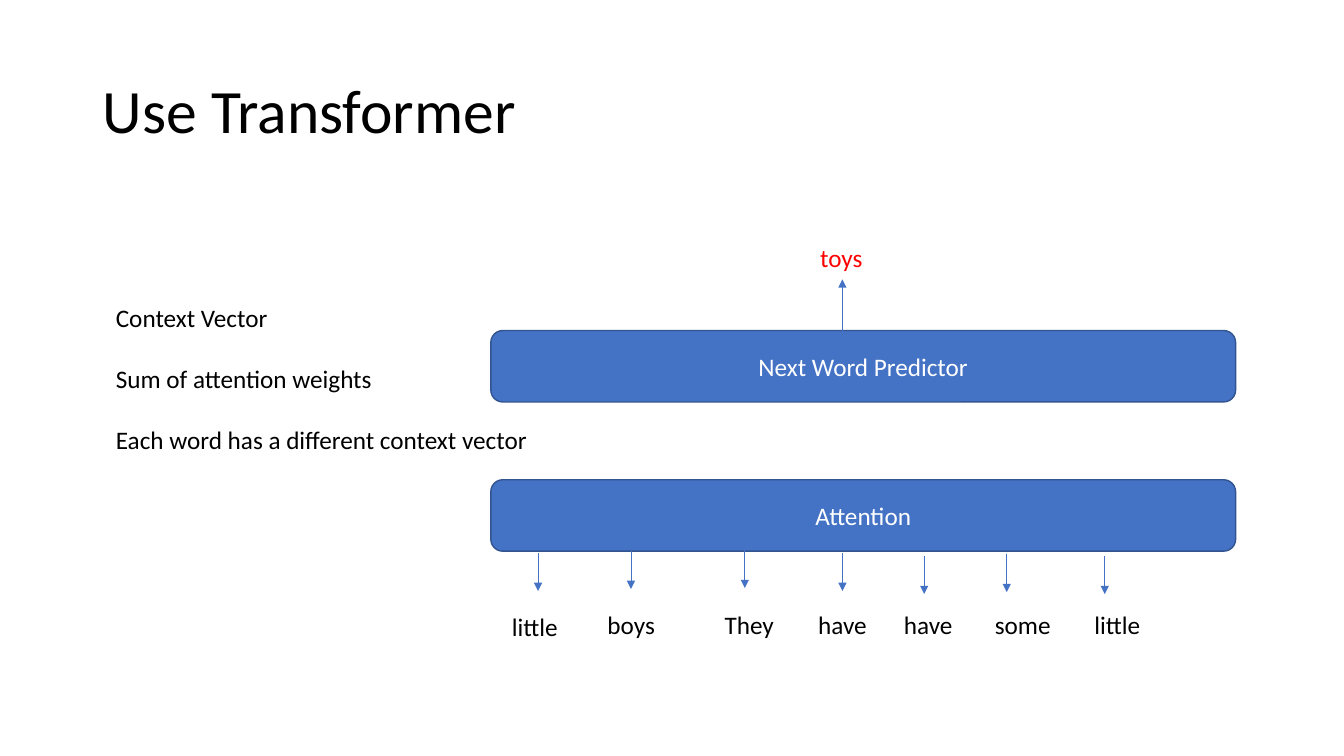
from dataclasses import dataclass

from lxml.etree import SubElement
from pptx import Presentation
from pptx.dml.color import RGBColor as Rgb
from pptx.enum.shapes import MSO_CONNECTOR as Conn, MSO_SHAPE as Form
from pptx.enum.text import MSO_ANCHOR as Anchor, MSO_AUTO_SIZE as Auto, PP_ALIGN as Align
from pptx.oxml.ns import qn
from pptx.util import Cm, Pt


@dataclass(frozen=True)
class Theme:
    face: str = "Calibri"
    ink: str = "000000"
    pale: str = "FFFFFF"
    red: str = "FF0000"
    blue: str = "4472C4"
    edge: str = "325491"
    head: int = 44
    body: int = 18


class Board:
    """Draw styled elements on the current slide."""

    def __init__(self, deck, theme):
        self.theme = theme
        self.slide = deck.slides.add_slide(deck.slide_layouts[5])
        self.shapes = self.slide.shapes

    def fill_text(self, frame, lines, size, color, **form):
        frame.text = "\n".join(lines)
        font = {"name": self.theme.face, "size": Pt(size)}
        for para in frame.paragraphs:
            for key, value in form.items():
                setattr(para, key, value)
            for key, value in font.items():
                setattr(para.font, key, value)
            para.font.color.rgb = Rgb.from_string(color)

    def title(self, text, *spot):
        shape = self.shapes.title
        for key, value in zip(("left", "top", "width", "height"), spot):
            setattr(shape, key, Cm(value))
        frame = shape.text_frame
        for key, value in {"auto_size": Auto.NONE, "vertical_anchor": Anchor.MIDDLE}.items():
            setattr(frame, key, value)
        self.fill_text(frame, [text], self.theme.head, self.theme.ink,
                       alignment=Align.LEFT, line_spacing=0.9)

    def block(self, text, *spot):
        shape = self.shapes.add_shape(Form.ROUNDED_RECTANGLE, *map(Cm, spot))
        shape.shadow.inherit = False
        shape.fill.solid()
        shape.fill.fore_color.rgb = Rgb.from_string(self.theme.blue)
        shape.line.color.rgb = Rgb.from_string(self.theme.edge)
        shape.line.width = Pt(1)
        shape.text_frame.vertical_anchor = Anchor.MIDDLE
        self.fill_text(shape.text_frame, [text], self.theme.body, self.theme.pale,
                       alignment=Align.CENTER)

    def label(self, lines, *spot, color=None, gap=0):
        frame = self.shapes.add_textbox(*map(Cm, spot)).text_frame
        for key, value in {"word_wrap": False, "auto_size": Auto.SHAPE_TO_FIT_TEXT}.items():
            setattr(frame, key, value)
        self.fill_text(frame, lines, self.theme.body, color or self.theme.ink)
        for para in frame.paragraphs[1:]:
            para.space_before = Pt(gap)

    def arrow(self, x, start, end):
        link = self.shapes.add_connector(Conn.STRAIGHT, *map(Cm, (x, start, x, end)))
        link.line.color.rgb = Rgb.from_string(self.theme.blue)
        link.line.width = Pt(0.5)
        props = link.element.spPr
        SubElement(props.find(qn("a:ln")), qn("a:tailEnd"), type="triangle")
        SubElement(props, qn("a:effectLst"))


WORDS = [
    ("little", 12.65, 15.27, 1.7, 13.56, 13.94),
    ("boys", 15.06, 15.24, 1.73, 15.9, 13.89),
    ("They", 18.01, 15.24, 1.78, 18.77, 13.87),
    ("have", 20.37, 15.24, 1.75, 21.23, 13.94),
    ("have", 22.53, 15.24, 1.75, 23.29, 14.02),
    ("some", 24.82, 15.24, 1.93, 25.37, 13.97),
    ("little", 27.33, 15.24, 1.7, 27.84, 14.02),
]
NOTES = ["Context Vector", "Sum of attention weights", "Each word has a different context vector"]


def main():
    deck = Presentation()
    deck.slide_width, deck.slide_height = Cm(33.87), Cm(19.05)
    theme = Theme()
    board = Board(deck, theme)
    board.title("Use Transformer", 2.34, 1.02, 29.21, 3.68)
    for text, top in (("Attention", 12.09), ("Next Word Predictor", 8.33)):
        board.block(text, 12.37, top, 18.77, 1.8)
    for word, left, top, width, x, start in WORDS:
        board.arrow(x, start, start + 0.95)
        board.label([word], left, top, width, 1.03)
    board.arrow(21.23, 8.33, 7.04)
    board.label(["toys"], 20.42, 5.97, 1.6, 1.03, color=theme.red)
    board.label(NOTES, 2.67, 7.49, 11, 4.11, gap=22)
    deck.save("out.pptx")


if __name__ == "__main__":
    main()
